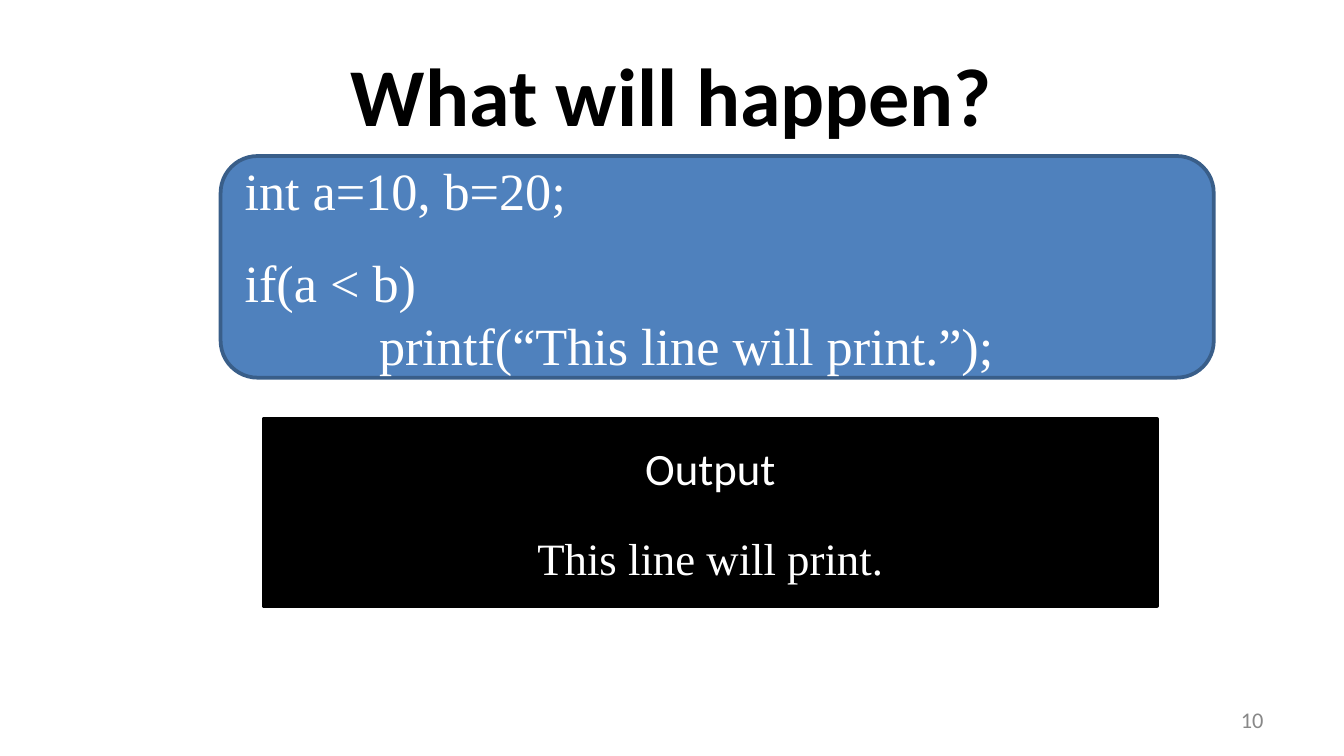
from pptx import Presentation
from pptx.dml.color import RGBColor
from pptx.enum.shapes import MSO_SHAPE
from pptx.enum.text import MSO_ANCHOR, PP_ALIGN
from pptx.util import Cm, Pt

LEFT, CENTER, RIGHT = PP_ALIGN.LEFT, PP_ALIGN.CENTER, PP_ALIGN.RIGHT
MIDDLE = MSO_ANCHOR.MIDDLE
RECT, ROUND_RECT = MSO_SHAPE.RECTANGLE, MSO_SHAPE.ROUNDED_RECTANGLE
SANS, SERIF = "Calibri", "Times New Roman"
COLORS = {
    "black": "000000",
    "white": "FFFFFF",
    "blue": "4F81BD",
    "blue_line": "395E89",
    "gray": "888888",
}


def rgb(name):
    return RGBColor.from_string(COLORS[name])


def set_box(sp, box):
    sp.left, sp.top, sp.width, sp.height = (Cm(v) for v in box)


def prepare_frame(sp):
    tf = sp.text_frame
    tf.word_wrap = True
    tf.vertical_anchor = MIDDLE
    return tf


def add_text(tf, text, size=18, font=SANS, color="white", bold=False,
             align=LEFT, before=0, indent=0):
    """Write one paragraph, using the empty first one if there is one."""
    p = tf.paragraphs[0] if not tf.text else tf.add_paragraph()
    p.alignment = align
    p.space_before = Pt(before)
    if indent:
        pPr = p._p.get_or_add_pPr()
        pPr.set("marL", str(Cm(indent)))
        pPr.set("indent", "0")
    r = p.add_run()
    r.text = text
    r.font.size = Pt(size)
    r.font.name = font
    r.font.bold = bold
    r.font.color.rgb = rgb(color)


def add_panel(s, box, shape, fill, line):
    sp = s.shapes.add_shape(shape, *(Cm(v) for v in box))
    sp.shadow.inherit = False
    sp.fill.solid()
    sp.fill.fore_color.rgb = rgb(fill)
    sp.line.color.rgb = rgb(line)
    sp.line.width = Pt(2)
    return prepare_frame(sp)


def add_title(s, box):
    sp = s.shapes.title
    set_box(sp, box)
    add_text(prepare_frame(sp), "What will happen?", size=44, color="black",
             bold=True, align=CENTER)


def add_code(s, box):
    tf = add_panel(s, box, ROUND_RECT, "blue", "blue_line")
    code = dict(size=28, font=SERIF)
    add_text(tf, "int a=10, b=20;", **code)
    add_text(tf, "if(a < b)", before=16, **code)
    add_text(tf, "printf(“This line will print.”);", indent=2.54, **code)


def add_output(s, box):
    tf = add_panel(s, box, RECT, "black", "black")
    add_text(tf, "Output", size=24, align=CENTER)
    add_text(tf, "This line will print.", size=24, font=SERIF, align=CENTER,
             before=19.5)


def add_page_number(s, box):
    sp = s.shapes.add_textbox(*(Cm(v) for v in box))
    add_text(prepare_frame(sp), "10", size=12, color="gray", align=RIGHT)


def main():
    prs = Presentation()
    prs.slide_width, prs.slide_height = Cm(25.4), Cm(14.29)
    s = prs.slides.add_slide(prs.slide_layouts[5])

    # Boxes: left, top, width, height in cm
    add_title(s, (1.27, 0.58, 22.86, 2.39))
    add_code(s, (4.17, 2.95, 18.77, 4.19))
    add_output(s, (4.98, 7.92, 16.89, 3.53))
    add_page_number(s, (18.21, 13.23, 5.92, 0.76))

    prs.save("out.pptx")


if __name__ == "__main__":
    main()
